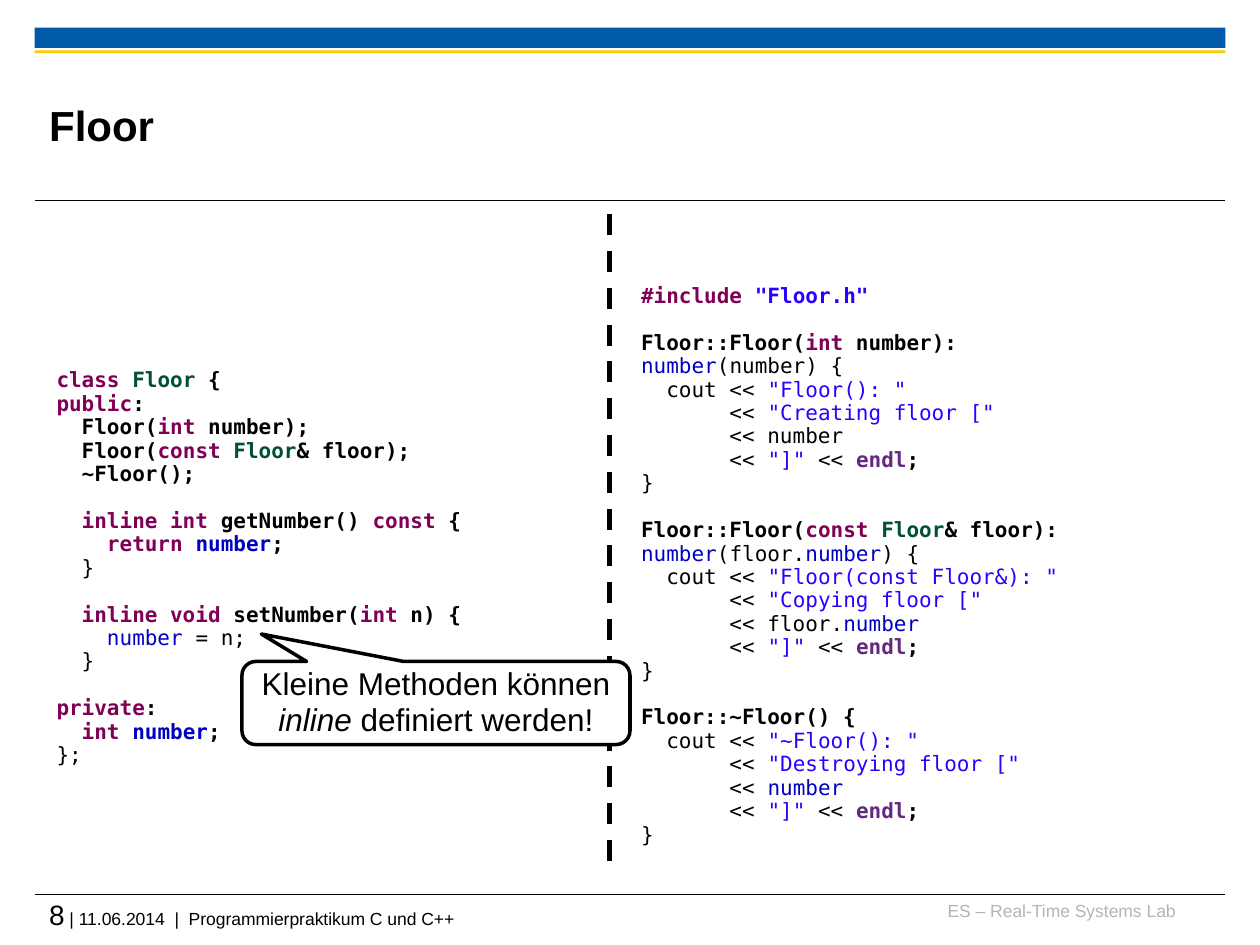
from lxml import etree
from pptx import Presentation
from pptx import util as u
from pptx.dml.color import RGBColor
from pptx.enum import dml, shapes, text
from pptx.oxml import ns

BLACK = RGBColor(0x00, 0x00, 0x00)
WHITE = RGBColor(0xFF, 0xFF, 0xFF)
BLUE = RGBColor(0x00, 0x5A, 0xA9)
YELLOW = RGBColor(0xFD, 0xCA, 0x00)
GREY = RGBColor(0xB5, 0xB5, 0xB5)
SYNTAX = {
    "b": BLACK,
    "k": RGBColor(0x7F, 0x00, 0x55),
    "t": RGBColor(0x00, 0x50, 0x32),
    "f": RGBColor(0x00, 0x00, 0xC0),
    "s": RGBColor(0x2A, 0x00, 0xFF),
    "e": RGBColor(0x64, 0x28, 0x80),
}

HEADER_CODE = """\
@Kclass @TFloor@B {
@Kpublic@B:
@B  Floor(@Kint@B number);
@B  Floor(@Kconst @TFloor@B& floor);
@B  ~Floor();

@K  inline int@B getNumber() @Kconst@B {
@K    return @Fnumber@B;
@b  }

@K  inline void@B setNumber(@Kint@B n) {
@f    number@b = n;
@b  }

@Kprivate@B:
@K  int @Fnumber@B;
@b};"""

SOURCE_CODE = """\
@K#include @S"Floor.h"

@BFloor::Floor(@Kint@B number):
@fnumber@b(number) {
@b  cout << @s"Floor(): "
@b       << @s"Creating floor ["
@b       << number
@b       << @s"]"@b << @Eendl@B;
@b}

@BFloor::Floor(@Kconst @TFloor@B& floor):
@fnumber@b(floor.@fnumber@b) {
@b  cout << @s"Floor(const Floor&): "
@b       << @s"Copying floor ["
@b       << floor.@fnumber
@b       << @s"]"@b << @Eendl@B;
@b}

@BFloor::~Floor() {
@b  cout << @s"~Floor(): "
@b       << @s"Destroying floor ["
@b       << @fnumber
@b       << @s"]"@b << @Eendl@B;
@b}"""


class Deck:
    """Draws styled elements on the current slide, placed on a 100 by 75 grid."""

    font, mono = "Arial", "DejaVu Sans Mono"
    code_size, code_line, spacing = 12, 13.4, 0.93

    def __init__(self, prs):
        self.col, self.row = prs.slide_width / 100, prs.slide_height / 75
        self.s = prs.slides.add_slide(prs.slide_layouts[6])

    def place(self, x, y, w, h):
        return (u.Emu(round(x * self.col)), u.Emu(round(y * self.row)),
                u.Emu(round(w * self.col)), u.Emu(round(h * self.row)))

    def line(self, x1, y1, x2, y2, width, dash=None):
        sp = self.s.shapes.add_connector(
            shapes.MSO_CONNECTOR.STRAIGHT, *self.place(x1, y1, x2, y2))
        sp.line.color.rgb = BLACK
        sp.line.width = u.Pt(width)
        sp.line.dash_style = dash
        etree.SubElement(sp._element.spPr, ns.qn("a:effectLst"))

    def shape(self, kind, box, fill, border=None):
        sp = self.s.shapes.add_shape(kind, *self.place(*box))
        sp.shadow.inherit = False
        sp.fill.solid()
        sp.fill.fore_color.rgb = fill
        if border:
            sp.line.color.rgb = BLACK
            sp.line.width = u.Pt(border)
        else:
            sp.line.fill.background()
        return sp

    def bar(self, box, fill):
        self.shape(shapes.MSO_SHAPE.RECTANGLE, box, fill)

    def run(self, p, words, size, color=BLACK, bold=False, italic=False, font=None):
        r = p.add_run()
        r.text = words
        r.font.name = font or self.font
        r.font.size = u.Pt(size)
        r.font.bold, r.font.italic = bold, italic
        r.font.color.rgb = color

    def frame(self, box):
        tf = self.s.shapes.add_textbox(*self.place(*box)).text_frame
        tf.word_wrap = True
        return tf

    def label(self, box, runs, color=BLACK, bold=False, align=text.PP_ALIGN.LEFT,
              anchor=text.MSO_ANCHOR.TOP):
        tf = self.frame(box)
        tf.margin_left = tf.margin_right = tf.margin_top = tf.margin_bottom = 0
        tf.vertical_anchor = anchor
        p = tf.paragraphs[0]
        p.alignment = align
        for words, size in runs:
            self.run(p, words, size, color, bold)

    def code(self, box, source):
        tf = self.frame(box)
        tf.auto_size = text.MSO_AUTO_SIZE.SHAPE_TO_FIT_TEXT
        p = None
        for block in source.split("\n\n"):
            for i, line in enumerate(block.split("\n")):
                first = p is None
                p = tf.paragraphs[0] if first else tf.add_paragraph()
                p.line_spacing = self.spacing
                p.space_before = u.Pt(self.code_line if i == 0 and not first else 0)
                for piece in line.split("@")[1:]:
                    style, words = piece[0], piece[1:]
                    self.run(p, words, self.code_size, SYNTAX[style.lower()],
                             style.isupper(), font=self.mono)

    def callout(self, box, tip, runs, size):
        sp = self.shape(shapes.MSO_SHAPE.ROUNDED_RECTANGULAR_CALLOUT, box, WHITE, 2)
        sp.adjustments[0], sp.adjustments[1] = tip
        tf = sp.text_frame
        tf.word_wrap = True
        tf.vertical_anchor = text.MSO_ANCHOR.MIDDLE
        p = tf.paragraphs[0]
        p.alignment = text.PP_ALIGN.CENTER
        p.line_spacing = self.spacing
        for words, italic in runs:
            self.run(p, words, size, italic=italic)


def main():
    prs = Presentation()
    prs.slide_width, prs.slide_height = u.Inches(10), u.Inches(7.5)
    deck = Deck(prs)
    deck.bar((2.75, 2.2, 94.5, 1.6), BLUE)
    deck.bar((2.75, 4, 94.5, 0.2), YELLOW)
    for y in (15.9, 71):
        deck.line(2.75, y, 97.25, y, 0.6)
    deck.label((73.6, 71.4, 19.7, 2.5), [("ES – Real-Time Systems Lab", 10)],
               color=GREY, align=text.PP_ALIGN.RIGHT)
    deck.label((3.9, 71.2, 93.3, 3.3),
               [("8", 16), (" | 11.06.2014  |  Programmierpraktikum C und C++", 10)])
    deck.line(48.4, 17, 48.4, 69.5, 3, dml.MSO_LINE.DASH)
    deck.label((3.9, 5.3, 75.2, 9.2), [("Floor", 24)], bold=True,
               anchor=text.MSO_ANCHOR.MIDDLE)
    deck.code((3.5, 28.8, 44.1, 32.9), HEADER_CODE)
    deck.code((49.9, 22.1, 50, 46.1), SOURCE_CODE)
    deck.callout((19.2, 52.5, 30.8, 6.6), (-0.45, -0.83),
                 [("Kleine Methoden können ", False), ("inline", True),
                  (" definiert werden!", False)], 18)
    prs.save("out.pptx")


if __name__ == "__main__":
    main()
